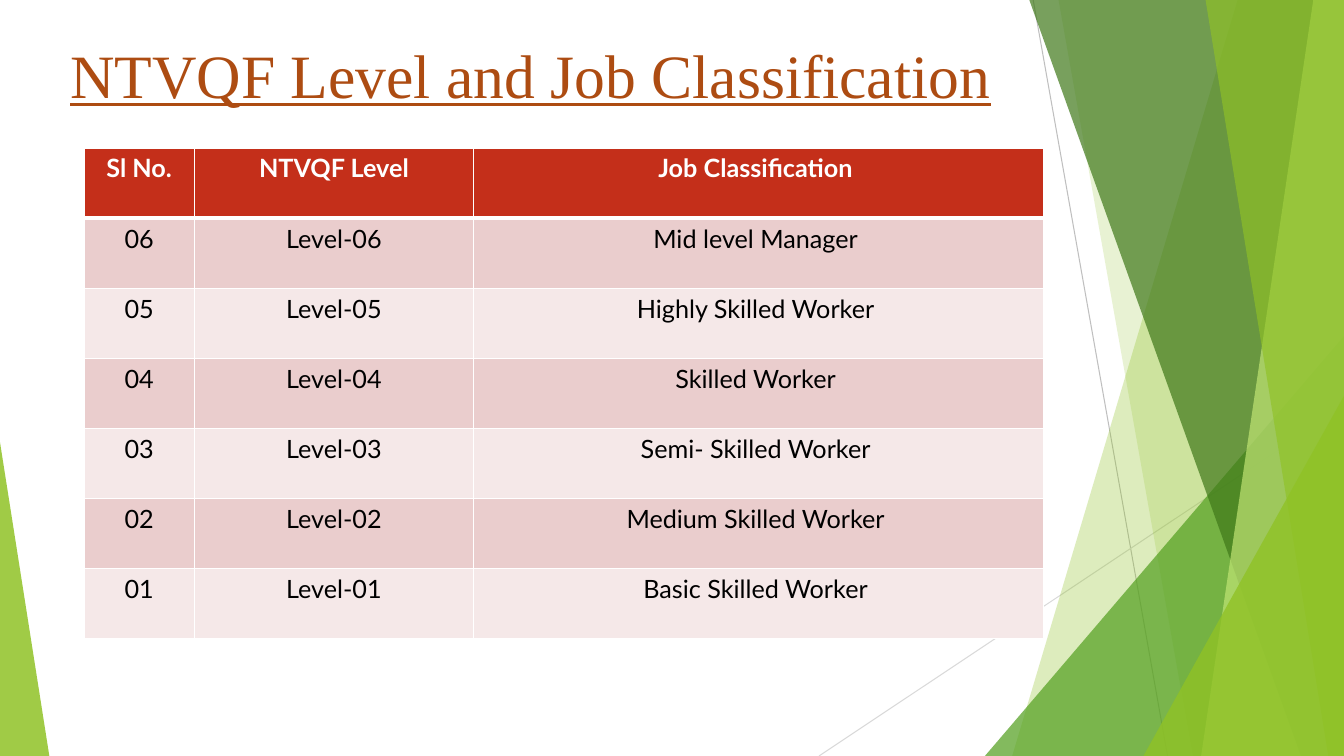
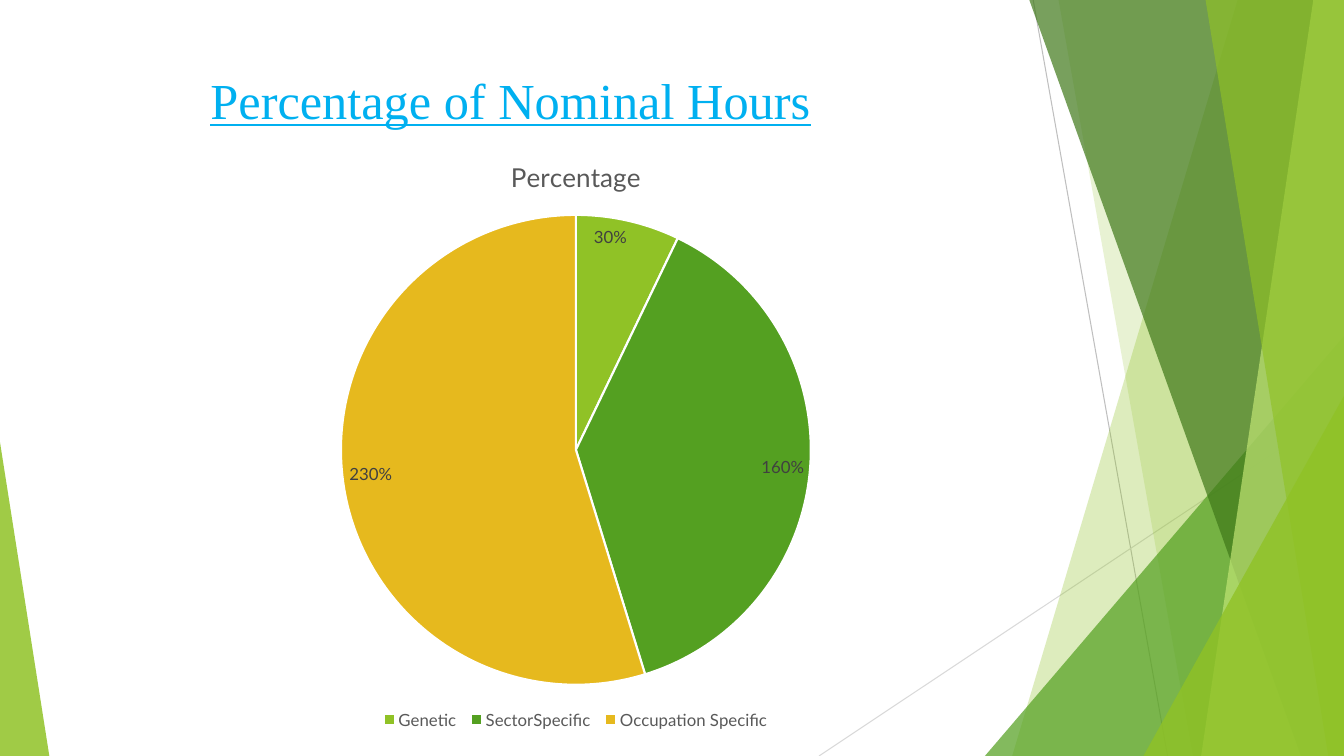
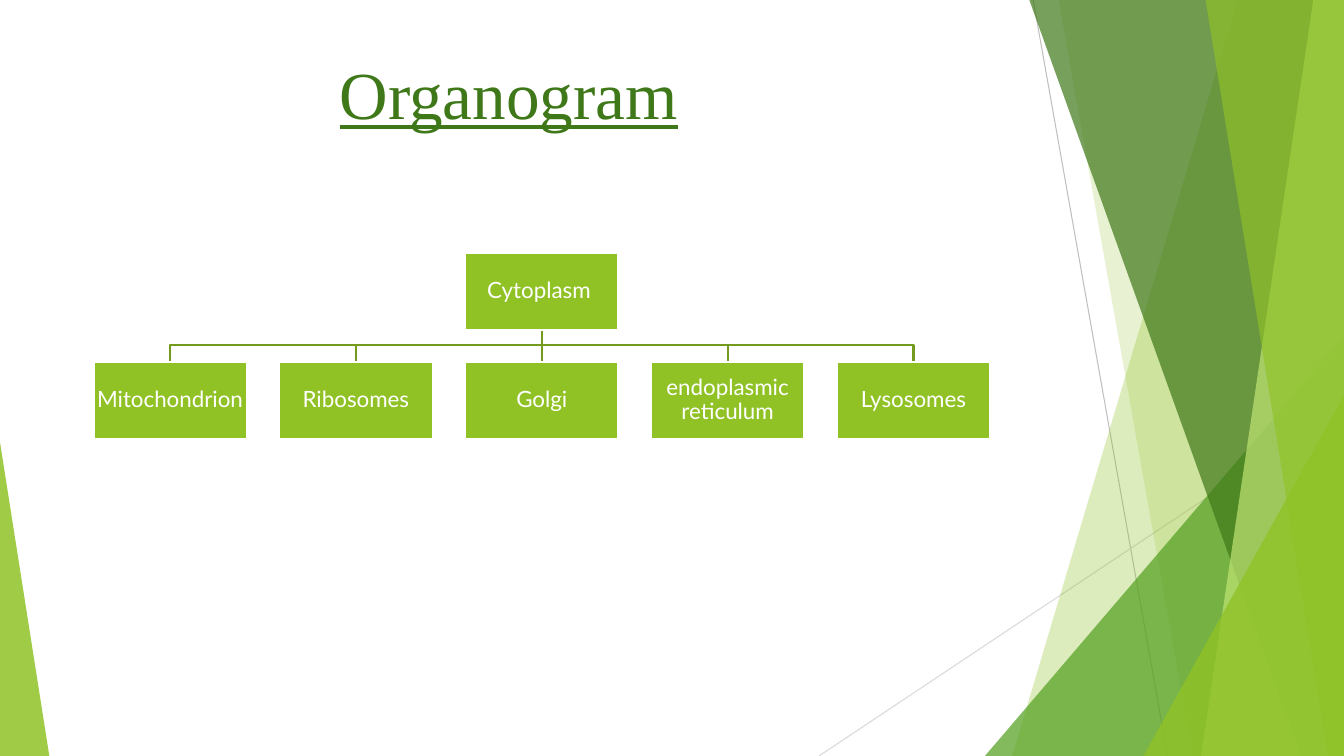
from lxml import etree
from pptx import Presentation
from pptx import util as u
from pptx.chart.data import CategoryChartData
from pptx.dml.color import RGBColor
from pptx.enum import chart as charts, shapes, text
from pptx.oxml.ns import qn

EMU_PER_PX = 9525
WIDTH, HEIGHT = 1280, 720

LIME = RGBColor(0x90, 0xC2, 0x26)
PALE_LIME = RGBColor(0xC0, 0xE4, 0x74)
GREEN = RGBColor(0x54, 0xA0, 0x21)
DARK_GREEN = RGBColor(0x3F, 0x78, 0x19)
OLIVE = RGBColor(0x73, 0x9B, 0x1E)
GOLD = RGBColor(0xE6, 0xB9, 0x1E)
BROWN = RGBColor(0xAD, 0x4C, 0x12)
SKY = RGBColor(0x00, 0xB0, 0xF0)
RED = RGBColor(0xC4, 0x2F, 0x1A)
ROSE = RGBColor(0xEA, 0xCD, 0xCD)
PALE_ROSE = RGBColor(0xF5, 0xE8, 0xE8)
WHITE = RGBColor(0xFF, 0xFF, 0xFF)
BLACK = RGBColor(0x00, 0x00, 0x00)
CHARCOAL = RGBColor(0x40, 0x40, 0x40)
GREY = RGBColor(0x59, 0x59, 0x59)
SILVER = RGBColor(0xBF, 0xBF, 0xBF)
LIGHT_GREY = RGBColor(0xD9, 0xD9, 0xD9)

TITLE_FONT = "Times New Roman"
BODY_FONT = "Lato"


def px(*lengths):
    return [u.Emu(length * EMU_PER_PX) for length in lengths]


def style_font(font, size, color, name=BODY_FONT, bold=False):
    font.name = name
    font.size = u.Pt(size)
    font.color.rgb = color
    font.bold = bold


def add_line(parent, start, end, color, weight):
    line = parent.shapes.add_connector(
        shapes.MSO_CONNECTOR.STRAIGHT, *px(*start, *end))
    line.line.color.rgb = color
    line.line.width = u.Pt(weight)
    etree.SubElement(line.element.spPr, qn("a:effectLst"))


def add_outline(parent, points, close):
    builder = parent.shapes.build_freeform(*points[0], scale=float(EMU_PER_PX))
    builder.add_line_segments(points[1:], close=close)
    outline = builder.convert_to_shape()
    outline.shadow.inherit = False
    return outline


def fill_clear(shape, color, opacity):
    """Fill a borderless shape at the given opacity in percent."""
    shape.fill.solid()
    shape.fill.fore_color.rgb = color
    shape.line.fill.background()
    color_node = shape.element.spPr.find(qn("a:solidFill"))[0]
    etree.SubElement(color_node, qn("a:alpha"), val=str(opacity * 1000))


def add_ribbon(parent, top_x, bottom_x, color, opacity):
    """Fill from a slanted left edge to the right edge of the slide."""
    points = [(top_x, -1), (WIDTH, -1), (WIDTH, HEIGHT), (bottom_x, HEIGHT)]
    fill_clear(add_outline(parent, points, True), color, opacity)


def add_wedge(parent, left, top, width, apex, color, opacity):
    """Add a triangle that stands on the bottom of the slide."""
    wedge = parent.shapes.add_shape(
        shapes.MSO_SHAPE.ISOSCELES_TRIANGLE,
        *px(left, top, width, HEIGHT - top))
    wedge.adjustments[0] = apex
    wedge.shadow.inherit = False
    fill_clear(wedge, color, opacity)


def decorate_layout(layout, page):
    """Draw the green facets in a group and hand it over to the layout."""
    for placeholder in list(layout.placeholders):
        placeholder.element.getparent().remove(placeholder.element)
    facets = page.shapes.add_group_shape()
    add_line(facets, (984, 0), (1112, HEIGHT), SILVER, 0.75)
    add_line(facets, (WIDTH, 387), (780, HEIGHT), LIGHT_GREY, 0.75)
    add_ribbon(facets, 1179, 964, LIME, 30)
    add_ribbon(facets, 1008, 1136, LIME, 20)
    add_wedge(facets, 938, 320, 342, 1, GREEN, 72)
    add_ribbon(facets, 980, 1239, DARK_GREEN, 70)
    add_ribbon(facets, 1251, 1144, PALE_LIME, 70)
    add_ribbon(facets, 1148, 1265, LIME, 65)
    add_wedge(facets, 1089, 377, 191, 1, LIME, 80)
    add_wedge(facets, 0, 421, 47, 0, LIME, 85)
    layout.element.cSld.spTree.append(facets.element)


def add_title(page, wording, place, size, color, align=text.PP_ALIGN.LEFT):
    box = page.shapes.add_textbox(*px(*place))
    frame = box.text_frame
    frame.word_wrap = True
    frame.auto_size = text.MSO_AUTO_SIZE.SHAPE_TO_FIT_TEXT
    frame.text = wording
    para = frame.paragraphs[0]
    para.alignment = align
    span = para.runs[0]
    style_font(span.font, size, color, TITLE_FONT)
    span.font.underline = True


def set_borders(cell, bottom):
    """Give a cell white borders of 1 pt, with its own bottom weight."""
    properties = cell._tc.get_or_add_tcPr()
    for side, weight in (("L", 1), ("R", 1), ("T", 1), ("B", bottom)):
        border = etree.SubElement(
            properties, qn(f"a:ln{side}"), w=str(u.Pt(weight)))
        fill = etree.SubElement(border, qn("a:solidFill"))
        etree.SubElement(fill, qn("a:srgbClr"), val=str(WHITE))


def add_level_table(page, rows, place, widths):
    table = page.shapes.add_table(
        len(rows), len(widths), *px(*place)).table
    for column, width in zip(table.columns, px(*widths)):
        column.width = width
    for r, row in enumerate(rows):
        header = r == 0
        band = RED if header else ROSE if r % 2 else PALE_ROSE
        for c, wording in enumerate(row):
            cell = table.cell(r, c)
            set_borders(cell, 3 if header else 1)
            cell.fill.solid()
            cell.fill.fore_color.rgb = band
            cell.text = wording
            para = cell.text_frame.paragraphs[0]
            para.alignment = text.PP_ALIGN.CENTER
            style_font(para.runs[0].font, 18,
                       WHITE if header else BLACK, bold=header)


def add_hours_pie(page, slices, place):
    data = CategoryChartData(number_format="0%")
    data.categories = [name for name, _, _ in slices]
    data.add_series("Percentage", [value for _, value, _ in slices])
    pie = page.shapes.add_chart(
        charts.XL_CHART_TYPE.PIE, *px(*place), data).chart
    style_font(pie.font, 10, BLACK)

    pie.has_title = True
    pie.chart_title.include_in_layout = False
    pie.chart_title.text_frame.text = "Percentage"
    heading = pie.chart_title.text_frame.paragraphs[0].runs[0]
    style_font(heading.font, 18.6, GREY)

    pie.has_legend = True
    pie.legend.position = charts.XL_LEGEND_POSITION.BOTTOM
    pie.legend.include_in_layout = False
    style_font(pie.legend.font, 12, GREY)

    plot = pie.plots[0]
    plot.vary_by_categories = True
    plot.has_data_labels = True
    labels = plot.data_labels
    labels.show_value = True
    labels.show_percentage = False
    labels.number_format = "0%"
    labels.number_format_is_linked = False
    labels.position = charts.XL_LABEL_POSITION.INSIDE_END
    style_font(labels.font, 12, CHARCOAL)

    for index, (_, _, color) in enumerate(slices):
        style = plot.series[0].points[index].format
        style.fill.solid()
        style.fill.fore_color.rgb = color
        style.line.color.rgb = WHITE
        style.line.width = u.Pt(1.5)


def add_branch(page, start, end):
    """Join two boxes with a line that turns halfway down."""
    if start[0] == end[0]:
        add_line(page, start, end, OLIVE, 1.5)
        return
    middle = (start[1] + end[1]) // 2
    points = [start, (start[0], middle), (end[0], middle), end]
    branch = add_outline(page, points, False)
    branch.fill.background()
    branch.line.color.rgb = OLIVE
    branch.line.width = u.Pt(1.5)


def add_unit(page, wording, left, top, width, height):
    box = page.shapes.add_shape(
        shapes.MSO_SHAPE.RECTANGLE, *px(left, top, width, height))
    box.shadow.inherit = False
    box.fill.solid()
    box.fill.fore_color.rgb = LIME
    box.line.color.rgb = WHITE
    box.line.width = u.Pt(1.5)
    frame = box.text_frame
    frame.word_wrap = True
    frame.vertical_anchor = text.MSO_ANCHOR.MIDDLE
    frame.margin_left = frame.margin_right = u.Emu(EMU_PER_PX)
    frame.margin_top = frame.margin_bottom = u.Emu(EMU_PER_PX)
    frame.text = wording
    para = frame.paragraphs[0]
    para.alignment = text.PP_ALIGN.CENTER
    para.line_spacing = 0.9
    style_font(para.runs[0].font, 16, WHITE)


def add_organogram(page, root, children):
    width, height = 146, 73
    root_top, child_top = 241, 345
    first_left, last_left = 89, 797
    step = (last_left - first_left) // (len(children) - 1)
    root_left = (first_left + last_left) // 2
    lefts = [first_left + step * index for index in range(len(children))]
    for left in lefts:
        add_branch(page, (root_left + width // 2, root_top + height),
                   (left + width // 2, child_top))
    add_unit(page, root, root_left, root_top, width, height)
    for left, child in zip(lefts, children):
        add_unit(page, child, left, child_top, width, height)


def main():
    deck = Presentation()
    deck.slide_width, deck.slide_height = px(WIDTH, HEIGHT)
    blank = deck.slide_layouts[6]
    levels, hours, organogram = [deck.slides.add_slide(blank)
                                 for _ in range(3)]
    decorate_layout(blank, levels)

    add_title(levels, "NTVQF Level and Job Classification",
              (19, 30, 973, 81), 44, BROWN, text.PP_ALIGN.CENTER)
    jobs = ["Mid level Manager ", "Highly Skilled Worker ", "Skilled Worker ",
            "Semi- Skilled Worker ", "Medium Skilled Worker ",
            "Basic Skilled Worker "]
    rows = [("Sl No.", "NTVQF Level", "Job Classification ")]
    for level, job in zip(range(len(jobs), 0, -1), jobs):
        rows.append((f"{level:02}", f"Level-{level:02}", job))
    add_level_table(levels, rows, (80, 141, 914, 467), (105, 266, 543))

    add_title(hours, "Percentage of Nominal Hours",
              (191, 61, 746, 68), 36, SKY)
    add_hours_pie(hours, [("Genetic ", 0.3, LIME),
                          ("SectorSpecific ", 1.6, GREEN),
                          ("Occupation Specific", 2.3, GOLD)],
                  (122, 130, 853, 569))

    add_title(organogram, "Organogram", (314, 45, 403, 87), 48, DARK_GREEN)
    add_organogram(organogram, "Cytoplasm ",
                   ["Mitochondrion", "Ribosomes", "Golgi",
                    "endoplasmic reticulum", "Lysosomes"])

    deck.save("out.pptx")


if __name__ == "__main__":
    main()
